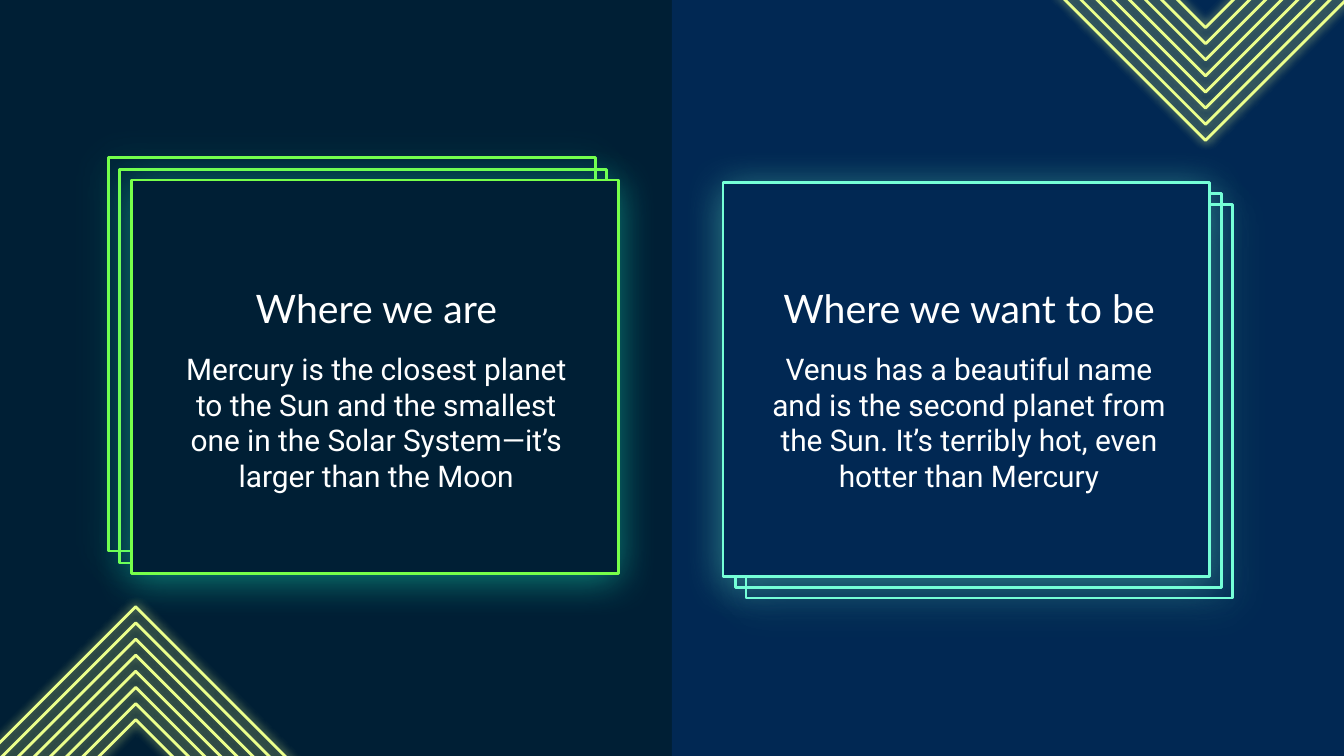
from dataclasses import dataclass

from lxml.etree import SubElement
from pptx import Presentation
from pptx.dml.color import RGBColor
from pptx.enum.shapes import MSO_SHAPE
from pptx.enum.text import MSO_ANCHOR, MSO_AUTO_SIZE, PP_ALIGN
from pptx.oxml.ns import qn
from pptx.util import Inches, Pt


@dataclass(frozen=True)
class Theme:
    dark: str = "001F35"
    navy: str = "012853"
    yellow: str = "ECFF8C"
    green: str = "77FF4A"
    aqua: str = "75FFD7"
    teal: str = "1FFFCE"
    white: str = "FFFFFF"
    title_font: str = "Lato"
    body_font: str = "Roboto"
    title_size: float = 21
    body_size: float = 16
    line_width: float = 1.5


@dataclass(frozen=True)
class Glow:
    color: str
    alpha: int  # percent
    blur: float  # points
    dist: float = 0  # points
    angle: int = 0  # degrees


@dataclass(frozen=True)
class Card:
    title: str
    body: str
    frames: tuple  # (left, top) from back to front
    text_left: float
    fill: str
    line: str
    glow: Glow


THEME = Theme()
SLIDE_W = 10
SLIDE_H = SLIDE_W * 9 / 16
CARD_W, CARD_H = 3.62, 2.93
TEXT_W = 3.18
DIAMOND_SIZE, DIAMOND_STEP, DIAMOND_COUNT = 3.73, 0.24, 8
DIAMOND_CENTERS = ((8.97, -0.82), (1.01, 6.38))

CARDS = (
    Card("Where we want to be",
         "Venus has a beautiful name and is the second planet from the Sun. "
         "It’s terribly hot, even hotter than Mercury",
         ((5.55, 1.52), (5.47, 1.44), (5.38, 1.36)), 5.62,
         THEME.navy, THEME.aqua, Glow(THEME.aqua, 38, 21.4, 3, 90)),
    Card("Where we are",
         "Mercury is the closest planet to the Sun and the smallest one in "
         "the Solar System—it’s larger than the Moon",
         ((0.81, 1.17), (0.89, 1.26), (0.98, 1.34)), 1.21,
         THEME.dark, THEME.green, Glow(THEME.teal, 38, 21.4, 3, 90)),
)


def place(sp, left: float, top: float, width: float, height: float) -> None:
    sp.left, sp.top = Inches(left), Inches(top)
    sp.width, sp.height = Inches(width), Inches(height)


def add_glow(sp, glow: Glow) -> None:
    """Put a soft outer shadow in the shape's effect list."""
    effects = sp._element.spPr.find(qn("a:effectLst"))
    shadow = SubElement(effects, qn("a:outerShdw"), blurRad=str(Pt(glow.blur)),
                        dist=str(Pt(glow.dist)), dir=str(glow.angle * 60000),
                        algn="bl", rotWithShape="0")
    color = SubElement(shadow, qn("a:srgbClr"), val=glow.color)
    SubElement(color, qn("a:alpha"), val=str(glow.alpha * 1000))


def add_box(slide, kind, left: float, top: float, width: float, height: float,
            fill: str | None = None, line: str | None = None,
            glow: Glow | None = None):
    sp = slide.shapes.add_shape(kind, Inches(left), Inches(top),
                                Inches(width), Inches(height))
    sp.shadow.inherit = False
    if fill:
        sp.fill.solid()
        sp.fill.fore_color.rgb = RGBColor.from_string(fill)
    else:
        sp.fill.background()
    if line:
        sp.line.color.rgb = RGBColor.from_string(line)
        sp.line.width = Pt(THEME.line_width)
    else:
        sp.line.fill.background()
    if glow:
        add_glow(sp, glow)
    return sp


def set_text(sp, text: str, *, font: str, size: float,
             color: str = THEME.white) -> None:
    tf = sp.text_frame
    tf.word_wrap = True
    tf.auto_size = MSO_AUTO_SIZE.NONE
    tf.vertical_anchor = MSO_ANCHOR.MIDDLE
    tf.margin_left = tf.margin_right = Inches(0.1)
    tf.margin_top = tf.margin_bottom = Inches(0.1)
    p = tf.paragraphs[0]
    p.alignment = PP_ALIGN.CENTER
    r = p.add_run()
    r.text = text
    r.font.name, r.font.size = font, Pt(size)
    r.font.color.rgb = RGBColor.from_string(color)


def add_diamonds(slide, cx: float, cy: float) -> None:
    """Draw concentric diamonds that run off the slide's edge."""
    glow = Glow(THEME.yellow, 90, 5.6)
    for i in range(DIAMOND_COUNT):
        size = DIAMOND_SIZE - i * DIAMOND_STEP
        add_box(slide, MSO_SHAPE.DIAMOND, cx - size / 2, cy - size / 2,
                size, size, line=THEME.yellow, glow=glow)


def add_card(slide, card: Card, title) -> None:
    """Draw stacked frames, only the front one filled, then the text."""
    for left, top in card.frames:
        fill = card.fill if (left, top) == card.frames[-1] else None
        add_box(slide, MSO_SHAPE.RECTANGLE, left, top, CARD_W, CARD_H,
                fill, card.line, card.glow)
    slide.shapes._spTree.append(title._element)  # bring above the frames
    place(title, card.text_left, 2.14, TEXT_W, 0.3)
    set_text(title, card.title, font=THEME.title_font, size=THEME.title_size)
    body = slide.shapes.add_textbox(0, 0, 0, 0)
    place(body, card.text_left, 2.7, TEXT_W, 0.88)
    set_text(body, card.body, font=THEME.body_font, size=THEME.body_size)


def main() -> None:
    prs = Presentation()
    prs.slide_width, prs.slide_height = Inches(SLIDE_W), Inches(SLIDE_H)
    slide = prs.slides.add_slide(prs.slide_layouts[5])

    # Two-tone background
    slide.background.fill.solid()
    slide.background.fill.fore_color.rgb = RGBColor.from_string(THEME.dark)
    add_box(slide, MSO_SHAPE.RECTANGLE, SLIDE_W / 2, 0, SLIDE_W / 2, SLIDE_H,
            fill=THEME.navy)

    # Corner ornaments
    for cx, cy in DIAMOND_CENTERS:
        add_diamonds(slide, cx, cy)

    # Cards: the left one carries the slide's title placeholder
    right, left = CARDS
    add_card(slide, right, slide.shapes.add_textbox(0, 0, 0, 0))
    add_card(slide, left, slide.shapes.title)

    prs.save("out.pptx")


if __name__ == "__main__":
    main()
